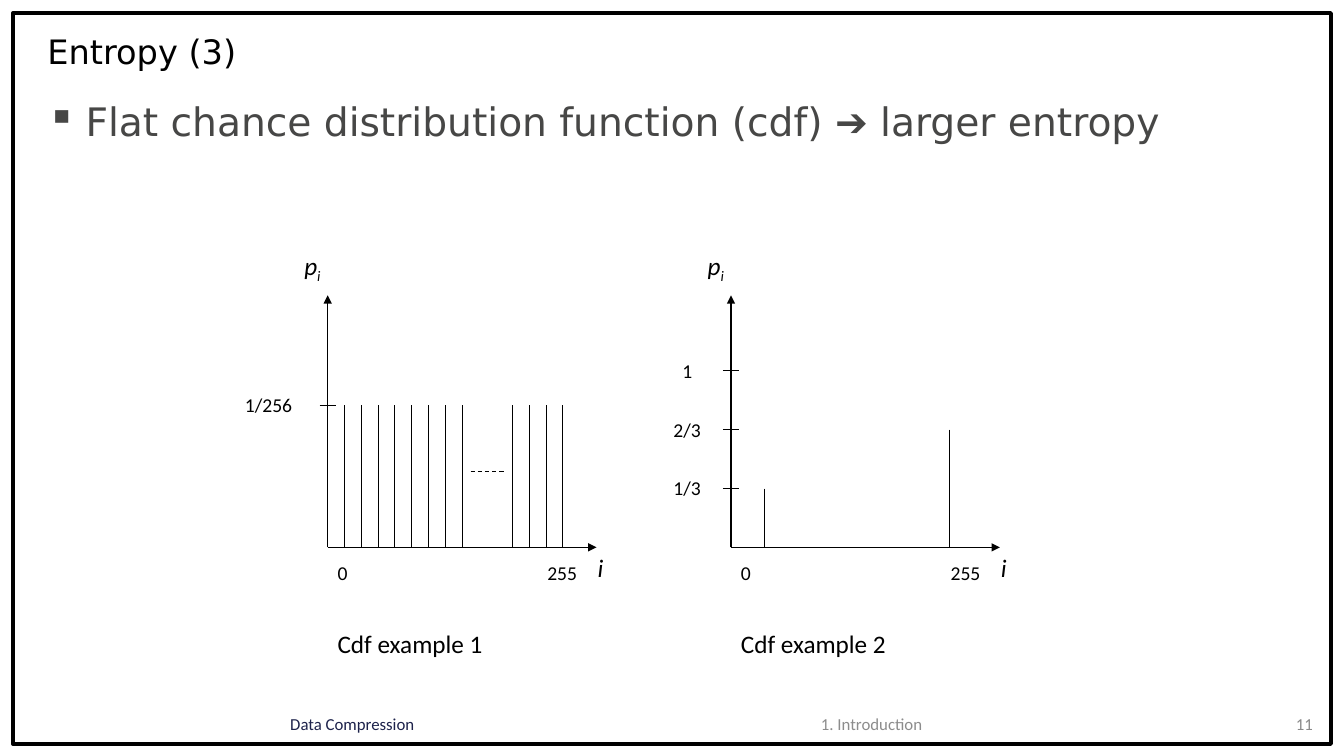
from pptx import Presentation
from pptx.dml.color import RGBColor
from pptx.enum.dml import MSO_LINE
from pptx.enum.shapes import MSO_CONNECTOR, MSO_SHAPE
from pptx.enum.text import MSO_ANCHOR, MSO_AUTO_SIZE, PP_ALIGN
from pptx.oxml.ns import qn
from pptx.util import Inches, Pt
from lxml.etree import SubElement

BLACK = RGBColor(0x00, 0x00, 0x00)
BODY_GRAY = RGBColor(0x47, 0x47, 0x46)
NAVY = RGBColor(0x1D, 0x22, 0x4B)
FOOTER_GRAY = RGBColor(0x8C, 0x8C, 0x8C)
NUMBER_GRAY = RGBColor(0x89, 0x89, 0x89)

HEADING_FONT = "DejaVu Sans"
LABEL_FONT = "Calibri"

SPIKE_STEP = 1 / 6
TICK_HALF = 0.08
AXIS_HEIGHT = 2.5
AXIS_WIDTH = 16 * SPIKE_STEP


def format_runs(paragraph, size, color, font=LABEL_FONT, italic=None):
    for run in paragraph.runs:
        run.font.size = Pt(size)
        run.font.name = font
        run.font.color.rgb = color
        run.font.italic = italic


def add_text(shapes, box, text, size, color=BLACK, font=LABEL_FONT, italic=None,
             align=PP_ALIGN.LEFT, anchor=MSO_ANCHOR.TOP, wrap=False):
    text_box = shapes.add_textbox(*(Inches(length) for length in box))
    frame = text_box.text_frame
    frame.word_wrap = wrap
    frame.auto_size = MSO_AUTO_SIZE.NONE if wrap else MSO_AUTO_SIZE.SHAPE_TO_FIT_TEXT
    frame.vertical_anchor = anchor
    frame.text = text
    paragraph = frame.paragraphs[0]
    paragraph.alignment = align
    format_runs(paragraph, size, color, font, italic)
    return paragraph


def add_line(shapes, start, end, arrow=False, dashed=False):
    line = shapes.add_connector(
        MSO_CONNECTOR.STRAIGHT, *(Inches(length) for length in (*start, *end)))
    line.line.color.rgb = BLACK
    line.line.width = Pt(0.75)
    if dashed:
        line.line.dash_style = MSO_LINE.DASH
    properties = line._element.spPr
    if arrow:
        SubElement(properties.find(qn("a:ln")), qn("a:tailEnd"), type="triangle")
    SubElement(properties, qn("a:effectLst"))


def add_frame(slide, left, top, width, height):
    border = slide.shapes.add_shape(
        MSO_SHAPE.RECTANGLE, *(Inches(length) for length in (left, top, width, height)))
    border.shadow.inherit = False
    border.fill.background()
    border.line.color.rgb = BLACK
    border.line.width = Pt(3)


def add_heading(slide, left, top, width):
    # Title
    title = slide.shapes.title
    title.left, title.top = Inches(left), Inches(top)
    title.width, title.height = Inches(width), Inches(0.6)
    frame = title.text_frame
    frame.text = "Entropy (3)"
    frame.vertical_anchor = MSO_ANCHOR.MIDDLE
    frame.paragraphs[0].alignment = PP_ALIGN.LEFT
    format_runs(frame.paragraphs[0], 24, BLACK, HEADING_FONT)

    # Bulleted statement
    paragraph = add_text(
        slide.shapes, (left, top + 0.71, width, 0.6),
        "Flat chance distribution function (cdf) ➔ larger entropy",
        28, BODY_GRAY, HEADING_FONT, wrap=True)
    properties = paragraph._p.get_or_add_pPr()
    properties.set("marL", str(Inches(0.38)))
    properties.set("indent", str(-Inches(0.38)))
    SubElement(properties, qn("a:buChar"), char="▪")


def add_graph(slide, left, base, caption, ticks, spikes, gap=None):
    """Draw axes from the origin (left, base).

    ticks: (label, height, label offset, label width); spikes: (step, height);
    gap: (first step, last step, height) of a dashed line.
    """
    shapes = slide.shapes.add_group_shape().shapes
    top = base - AXIS_HEIGHT

    # Axes and their names
    add_line(shapes, (left, base), (left, top), arrow=True)
    add_line(shapes, (left, base), (left + AXIS_WIDTH, base), arrow=True)
    probability = add_text(shapes, (left - 0.33, top - 0.5, 0.37, 0.4), "p", 18, italic=True)
    subscript = probability.add_run()
    subscript.text = "i"
    format_runs(probability, 18, BLACK, italic=True)
    subscript.font._element.set("baseline", "-25000")
    add_text(shapes, (left + 2.58, base, 0.27, 0.4), "i", 18, italic=True)
    add_text(shapes, (left, base + 0.09, 0.3, 0.34), "0", 14)
    add_text(shapes, (left + 2.08, base + 0.09, 0.5, 0.34), "255", 14)

    # Probability ticks
    for label, height, offset, width in ticks:
        y = base - height
        add_line(shapes, (left - TICK_HALF, y), (left + TICK_HALF, y))
        add_text(shapes, (left - offset, y - 0.17, width, 0.33), label, 14)

    # Spikes and the omitted range
    for step, height in spikes:
        x = left + step * SPIKE_STEP
        add_line(shapes, (x, base - height), (x, base))
    if gap:
        first, last, height = gap
        add_line(shapes, (left + first * SPIKE_STEP, base - height),
                 (left + last * SPIKE_STEP, base - height), dashed=True)

    add_text(slide.shapes, (left, base + 0.75, 1.7, 0.4), caption, 18)


def add_footer(slide, top, height):
    for left, width, text, color, align in (
        (2.78, 2.48, "Data Compression", NAVY, PP_ALIGN.LEFT),
        (5.39, 6.51, "1. Introduction", FOOTER_GRAY, PP_ALIGN.CENTER),
        (12.02, 1.1, "11", NUMBER_GRAY, PP_ALIGN.RIGHT),
    ):
        add_text(slide.shapes, (left, top, width, height), text, 12, color,
                 align=align, anchor=MSO_ANCHOR.MIDDLE, wrap=True)


def main():
    presentation = Presentation()
    presentation.slide_width = Inches(13.33)
    presentation.slide_height = Inches(7.5)
    slide = presentation.slides.add_slide(presentation.slide_layouts[5])

    add_frame(slide, 0.13, 0.13, 13.07, 7.25)
    add_heading(slide, 0.37, 0.21, 12.6)

    # Flat distribution: every value equally likely
    flat = 1.41
    add_graph(slide, 3.25, 5.43, "Cdf example 1",
              ticks=[("1/256", flat, 0.92, 0.68)],
              spikes=[(step, flat) for step in (*range(1, 9), *range(11, 15))],
              gap=(8.5, 10.5, 0.75))

    # Two values only
    unit = 1.75
    add_graph(slide, 7.25, 5.43, "Cdf example 2",
              ticks=[("1/3", unit / 3, 0.67, 0.48),
                     ("2/3", unit * 2 / 3, 0.67, 0.48),
                     ("1", unit, 0.58, 0.3)],
              spikes=[(2, unit / 3), (13, unit * 2 / 3)])

    add_footer(slide, 6.98, 0.4)
    presentation.save("out.pptx")


if __name__ == "__main__":
    main()
